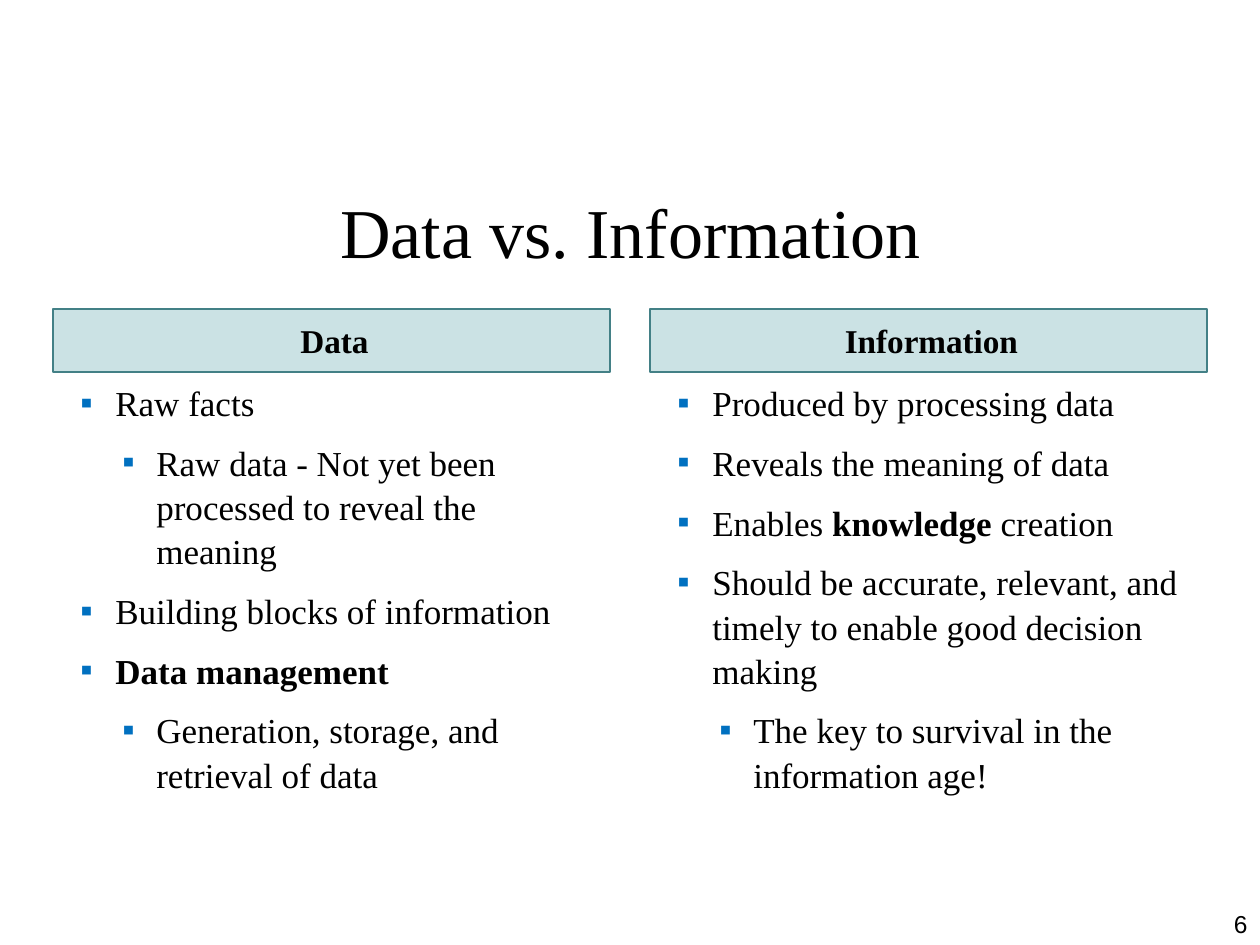
from lxml import etree
from pptx import Presentation, util as u
from pptx.dml.color import RGBColor
from pptx.enum import shapes, text
from pptx.oxml.ns import qn

EMU_PER_PX = 914400 / 126
COLORS = {"ink": "000000", "panel": "328E97", "border": "438086", "bullet": "0070C0"}
SERIF, SANS = "Times New Roman", "Arial"
LEVELS = [(50, 35), (91, 34)]  # left margin and hanging indent, by level
SPACING = {"space_before": u.Pt(3), "space_after": u.Pt(6)}
LIST_SPACING = {**SPACING, "line_spacing": 1.05}
CENTER = {"alignment": text.PP_ALIGN.CENTER}

COLUMN_WIDTH, HEADER_TOP, HEADER_HEIGHT = 557, 309, 63
LIST_TOP, LIST_HEIGHT = 373, 535
# Each column: left, heading, items; an item is a level and (words, bold) spans.
COLUMNS = [
    (53, "Data", [
        (0, [("Raw facts", False)]),
        (1, [("Raw data - Not yet been processed to reveal the meaning", False)]),
        (0, [("Building blocks of information", False)]),
        (0, [("Data management", True)]),
        (1, [("Generation, storage, and retrieval of data", False)]),
    ]),
    (650, "Information", [
        (0, [("Produced by processing data", False)]),
        (0, [("Reveals the meaning of data", False)]),
        (0, [("Enables ", False), ("knowledge ", True), ("creation", False)]),
        (0, [("Should be accurate, relevant, and timely to enable good "
              "decision making", False)]),
        (1, [("The key to survival in the information age!", False)]),
    ]),
]


def px(length):
    return u.Emu(round(length * EMU_PER_PX))


def color(name):
    return RGBColor.from_string(COLORS[name])


def apply(target, values):
    for name, value in values.items():
        setattr(target, name, value)


class SlideBuilder:
    def __init__(self, page):
        self.page = page

    def add_spans(self, para, spans, size, font=SERIF):
        for words, bold in spans:
            span = para.add_run()
            span.text = words
            apply(span.font, {"size": u.Pt(size), "name": font, "bold": bold})
            span.font.color.rgb = color("ink")

    def text_box(self, area, anchor=text.MSO_ANCHOR.TOP):
        box = self.page.shapes.add_textbox(*map(px, area))
        apply(box.text_frame, {"word_wrap": True, "vertical_anchor": anchor})
        return box.text_frame

    def label(self, area, words, size, anchor, align, font=SERIF):
        para = self.text_box(area, anchor).paragraphs[0]
        para.alignment = align
        self.add_spans(para, [(words, False)], size, font)

    def header(self, area, words):
        box = self.page.shapes.add_shape(shapes.MSO_SHAPE.RECTANGLE, *map(px, area))
        box.shadow.inherit = False
        box.fill.solid()
        box.fill.fore_color.rgb = color("panel")
        tint = box._element.spPr.find(qn("a:solidFill"))[0]
        etree.SubElement(tint, qn("a:alpha"), val="25000")
        box.line.color.rgb = color("border")
        box.line.width = u.Pt(1)
        box.text_frame.vertical_anchor = text.MSO_ANCHOR.MIDDLE
        para = box.text_frame.paragraphs[0]
        apply(para, {**SPACING, **CENTER})
        para._p.get_or_add_pPr().set("marL", str(px(6)))
        self.add_spans(para, [(words, True)], 19)

    def bullet(self, para, level):
        """Give the paragraph a square bullet and its level's hanging indent."""
        margin, hang = LEVELS[level]
        props = para._p.get_or_add_pPr()
        props.set("marL", str(px(margin)))
        props.set("indent", str(px(-hang)))
        tint = etree.SubElement(props, qn("a:buClr"))
        etree.SubElement(tint, qn("a:srgbClr"), val=COLORS["bullet"])
        etree.SubElement(props, qn("a:buFont"), typeface=SERIF)
        etree.SubElement(props, qn("a:buChar"), char="▪")

    def bullet_list(self, area, items):
        frame = self.text_box(area)
        for index, (level, spans) in enumerate(items):
            para = frame.add_paragraph() if index else frame.paragraphs[0]
            apply(para, {**LIST_SPACING, "level": level})
            self.bullet(para, level)
            self.add_spans(para, spans, 20)


def main():
    deck = Presentation()
    apply(deck, {"slide_width": px(1260), "slide_height": px(945)})
    builder = SlideBuilder(deck.slides.add_slide(deck.slide_layouts[6]))
    builder.label((53, 157, 1155, 148), "Data vs. Information", 40,
                  text.MSO_ANCHOR.MIDDLE, text.PP_ALIGN.CENTER)
    for left, heading, items in COLUMNS:
        builder.header((left, HEADER_TOP, COLUMN_WIDTH, HEADER_HEIGHT), heading)
        builder.bullet_list((left, LIST_TOP, COLUMN_WIDTH, LIST_HEIGHT), items)
    builder.label((1197, 903, 63, 42), "6", 14,
                  text.MSO_ANCHOR.BOTTOM, text.PP_ALIGN.RIGHT, SANS)
    deck.save("out.pptx")


if __name__ == "__main__":
    main()
